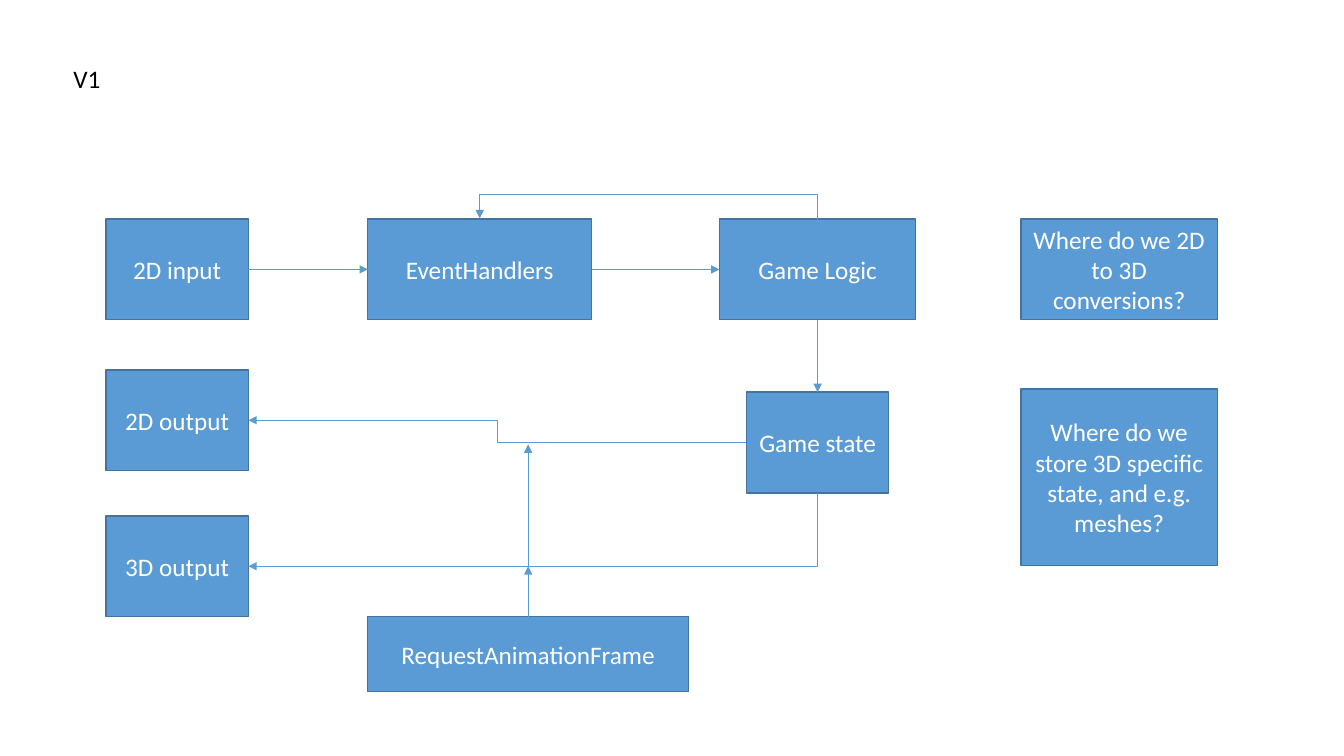
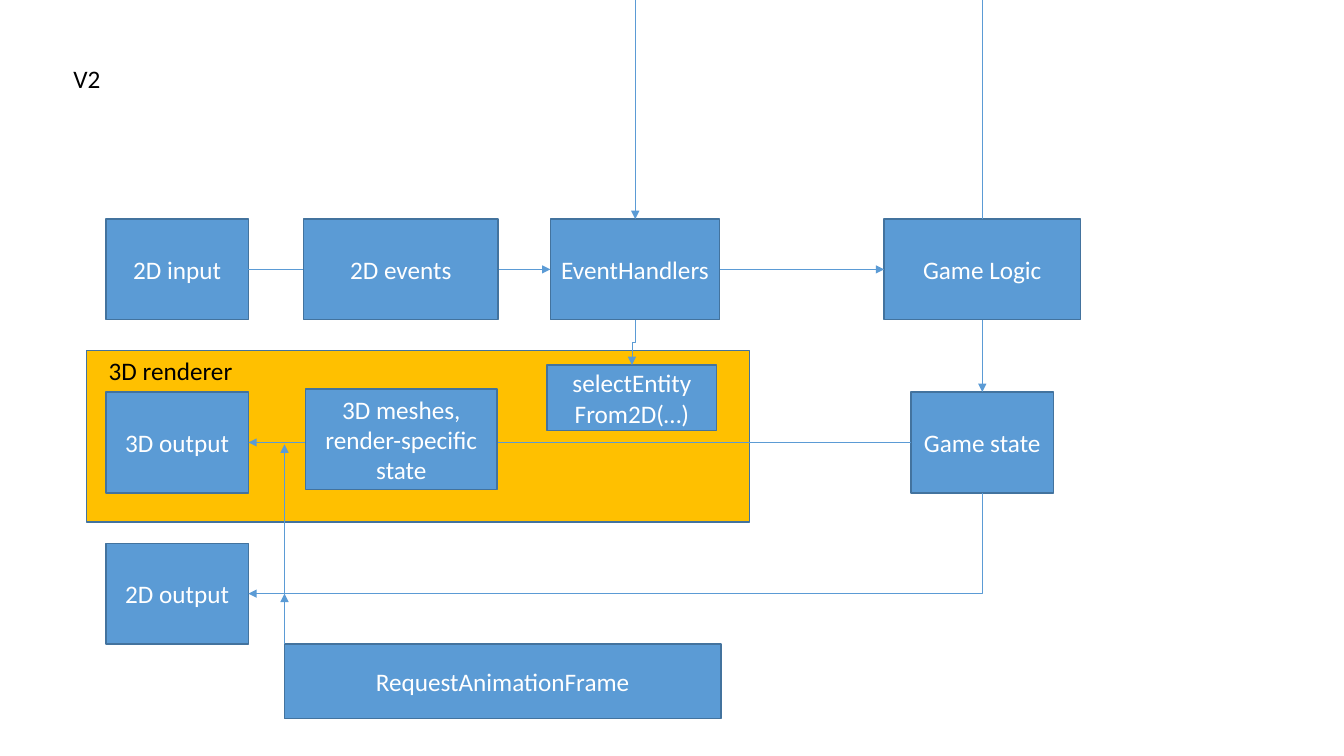
import dataclasses

import lxml.etree
import pptx
import pptx.dml.color
import pptx.enum.shapes
import pptx.enum.text
import pptx.oxml.ns
import pptx.util

Cm = pptx.util.Cm
Pt = pptx.util.Pt
qn = pptx.oxml.ns.qn

# Shared look
BLUE, EDGE, AMBER = "5B9BD5", "43739E", "FFC000"
WHITE, BLACK = "FFFFFF", "000000"
FONT = {"name": "Calibri", "size": Pt(18)}
BOX_FRAME = {"word_wrap": True,
             "vertical_anchor": pptx.enum.text.MSO_ANCHOR.MIDDLE}
LABEL_FRAME = {"word_wrap": False,
               "auto_size": pptx.enum.text.MSO_AUTO_SIZE.SHAPE_TO_FIT_TEXT}

# Connection sites of a rectangle
TOP, LEFT, BOTTOM, RIGHT = range(4)

# Shared sizes in centimetres
SMALL_WIDTH, LOGIC_WIDTH, ROW_HEIGHT, FRAME_HEIGHT = 3.59, 4.95, 2.54, 1.88
STATE_TOP = 4.36


@dataclasses.dataclass
class Box:
    left: float
    top: float
    width: float
    height: float = ROW_HEIGHT

    def inside(self, left, top, width=SMALL_WIDTH, height=ROW_HEIGHT):
        return Box(self.left + left, self.top + top, width, height)

    def lengths(self):
        return [Cm(value) for value in dataclasses.astuple(self)]


TITLE = Box(1.6, 1.47, 1.19, 1.02)
DIAGRAM = Box(2.67, 5.52, 28.01, 12.6)


def colour(hex_string):
    return pptx.dml.color.RGBColor.from_string(hex_string)


def apply(target, formats):
    for name, value in formats.items():
        setattr(target, name, value)


def write(shape, text, hex_string, frame_formats, alignment):
    apply(shape.text_frame, frame_formats)
    paragraph = shape.text_frame.paragraphs[0]
    paragraph.alignment = alignment
    run = paragraph.add_run()
    run.text = text
    apply(run.font, FONT)
    run.font.color.rgb = colour(hex_string)


def add_box(slide, box, text="", fill=BLUE):
    shape = slide.shapes.add_shape(
        pptx.enum.shapes.MSO_SHAPE.RECTANGLE, *box.lengths())
    shape.shadow.inherit = False
    shape.fill.solid()
    shape.fill.fore_color.rgb = colour(fill)
    shape.line.color.rgb = colour(EDGE)
    shape.line.width = Pt(1)
    if text:
        write(shape, text, WHITE, BOX_FRAME, pptx.enum.text.PP_ALIGN.CENTER)
    return shape


def add_label(slide, box, text):
    shape = slide.shapes.add_textbox(*box.lengths())
    write(shape, text, BLACK, LABEL_FRAME, pptx.enum.text.PP_ALIGN.LEFT)


def add_line(slide, start=(0, 0), end=(0, 0), arrow=True, elbow=False):
    kinds = pptx.enum.shapes.MSO_CONNECTOR
    connector = slide.shapes.add_connector(
        kinds.ELBOW if elbow else kinds.STRAIGHT,
        *[Cm(value) for value in (*start, *end)])
    connector.line.color.rgb = colour(BLUE)
    connector.line.width = Pt(0.5)
    if arrow:
        line = connector.line._get_or_add_ln()
        lxml.etree.SubElement(line, qn("a:tailEnd"), type="triangle")
    lxml.etree.SubElement(connector._element.spPr, qn("a:effectLst"))
    return connector


def join(slide, source, source_site, target, target_site, elbow=False):
    connector = add_line(slide, elbow=elbow)
    connector.begin_connect(source, source_site)
    connector.end_connect(target, target_site)
    return connector


def join_bent(slide, source, source_site, target, target_site, rotation,
              preset="bentConnector3", flip=False, adjust=None):
    """Join two boxes by an elbow whose first leg is turned by rotation."""
    connector = join(slide, source, source_site, target, target_site, True)
    start = connector.begin_x, connector.begin_y
    end = connector.end_x, connector.end_y
    across, down = abs(end[0] - start[0]), abs(end[1] - start[1])
    width, height = (down, across) if rotation % 180 else (across, down)
    width = max(width, Pt(1))
    apply(connector, {"left": (start[0] + end[0] - width) // 2,
                      "top": (start[1] + end[1] - height) // 2,
                      "width": width, "height": height})
    properties = connector._element.spPr
    frame = properties.find(qn("a:xfrm"))
    for name, value in {"rot": rotation * 60000, "flipH": 0,
                        "flipV": int(flip)}.items():
        frame.set(name, str(value))
    geometry = properties.find(qn("a:prstGeom"))
    geometry.set("prst", preset)
    if adjust is not None:
        guides = geometry.find(qn("a:avLst"))
        if guides is None:
            guides = lxml.etree.SubElement(geometry, qn("a:avLst"))
        lxml.etree.SubElement(guides, qn("a:gd"), name="adj1",
                              fmla=f"val {adjust}")


def add_core(slide, area, handlers_left, handlers_width, logic_left):
    """Input, handlers, logic and state: the part both versions share."""
    state_left = logic_left + (LOGIC_WIDTH - SMALL_WIDTH) / 2
    source = add_box(slide, area.inside(0, 0), "2D input")
    handlers = add_box(slide, area.inside(handlers_left, 0, handlers_width),
                       "EventHandlers")
    logic = add_box(slide, area.inside(logic_left, 0, LOGIC_WIDTH),
                    "Game Logic")
    state = add_box(slide, area.inside(state_left, STATE_TOP), "Game state")
    join(slide, source, RIGHT, handlers, LEFT)
    join(slide, handlers, RIGHT, logic, LEFT)
    join(slide, logic, BOTTOM, state, TOP)
    return handlers, logic, state


def add_frame_request(slide, box, tick_left, tick_tops):
    """Animation request with two ticks rising to the output lines."""
    add_box(slide, box, "RequestAnimationFrame")
    x = box.left + tick_left
    heights = [box.top, *tick_tops]
    for lower, upper in zip(heights, heights[1:]):
        add_line(slide, (x, lower), (x, upper))


def add_questions(slide, area):
    questions = [
        (0, ROW_HEIGHT, "Where do we 2D to 3D conversions?"),
        (4.28, 4.45, "Where do we store 3D specific state, and e.g. meshes?"),
    ]
    for top, height, text in questions:
        add_box(slide, area.inside(0, top, area.width, height), text)


def add_first_version(slide, area):
    handlers, logic, state = add_core(slide, area, 6.6, 5.64, 15.46)
    join_bent(slide, logic, TOP, handlers, TOP, 270, flip=True,
              adjust=1800000)

    # Outputs
    flat = add_box(slide, area.inside(0, 3.8), "2D output")
    solid = add_box(slide, area.inside(0, 7.48), "3D output")
    join_bent(slide, state, LEFT, flat, RIGHT, 180, adjust=50000)
    join_bent(slide, state, BOTTOM, solid, RIGHT, 90, "bentConnector2")

    add_frame_request(slide, area.inside(6.6, 10.02, 8.08, FRAME_HEIGHT),
                      4.04, [area.top + 8.75, area.top + 5.68])
    add_questions(slide, area.inside(23.06, 0, LOGIC_WIDTH, area.height))


def add_renderer(slide, panel):
    add_box(slide, panel, fill=AMBER)
    add_label(slide, panel.inside(0.31, 0, 3.68, 1.02), "3D renderer")
    output = add_box(slide, panel.inside(0.49, 1.04), "3D output")
    selector = add_box(slide, panel.inside(11.61, 0.36, 4.27, 1.65),
                       "selectEntity From2D(…)")
    return output, selector


def add_second_version(slide, area):
    panel = area.inside(-0.49, 3.32, 16.71, 4.32)
    solid, selector = add_renderer(slide, panel)
    handlers, logic, state = add_core(slide, area, 11.2, 4.27, 19.61)

    # Feedback from logic to handlers, running past the slide's top edge
    logic_x, handlers_x = area.left + 22.08, area.left + 13.34
    add_line(slide, (logic_x, area.top), (logic_x, 0), arrow=False)
    add_line(slide, (handlers_x, 0), (handlers_x, area.top))

    # Outputs
    flat = add_box(slide, area.inside(0, 8.17), "2D output")
    join(slide, state, LEFT, solid, RIGHT)
    join_bent(slide, state, BOTTOM, flat, RIGHT, 90, "bentConnector2")
    join_bent(slide, handlers, BOTTOM, selector, TOP, 90, adjust=50000)
    add_frame_request(slide, area.inside(4.5, 10.71, 11, FRAME_HEIGHT),
                      0, [area.top + 9.44, area.top + 5.68])

    # Stages lying over the lines
    add_box(slide, area.inside(4.98, 0, 4.9), "2D events")
    add_box(slide, panel.inside(5.52, 0.96, 4.83),
            "3D meshes, render-specific state")


def main():
    presentation = pptx.Presentation()
    apply(presentation, {"slide_width": Cm(33.87), "slide_height": Cm(19.05)})
    versions = {"V1": add_first_version, "V2": add_second_version}
    for title, add_version in versions.items():
        slide = presentation.slides.add_slide(presentation.slide_layouts[6])
        add_label(slide, TITLE, title)
        add_version(slide, DIAGRAM)
    presentation.save("out.pptx")


if __name__ == "__main__":
    main()
